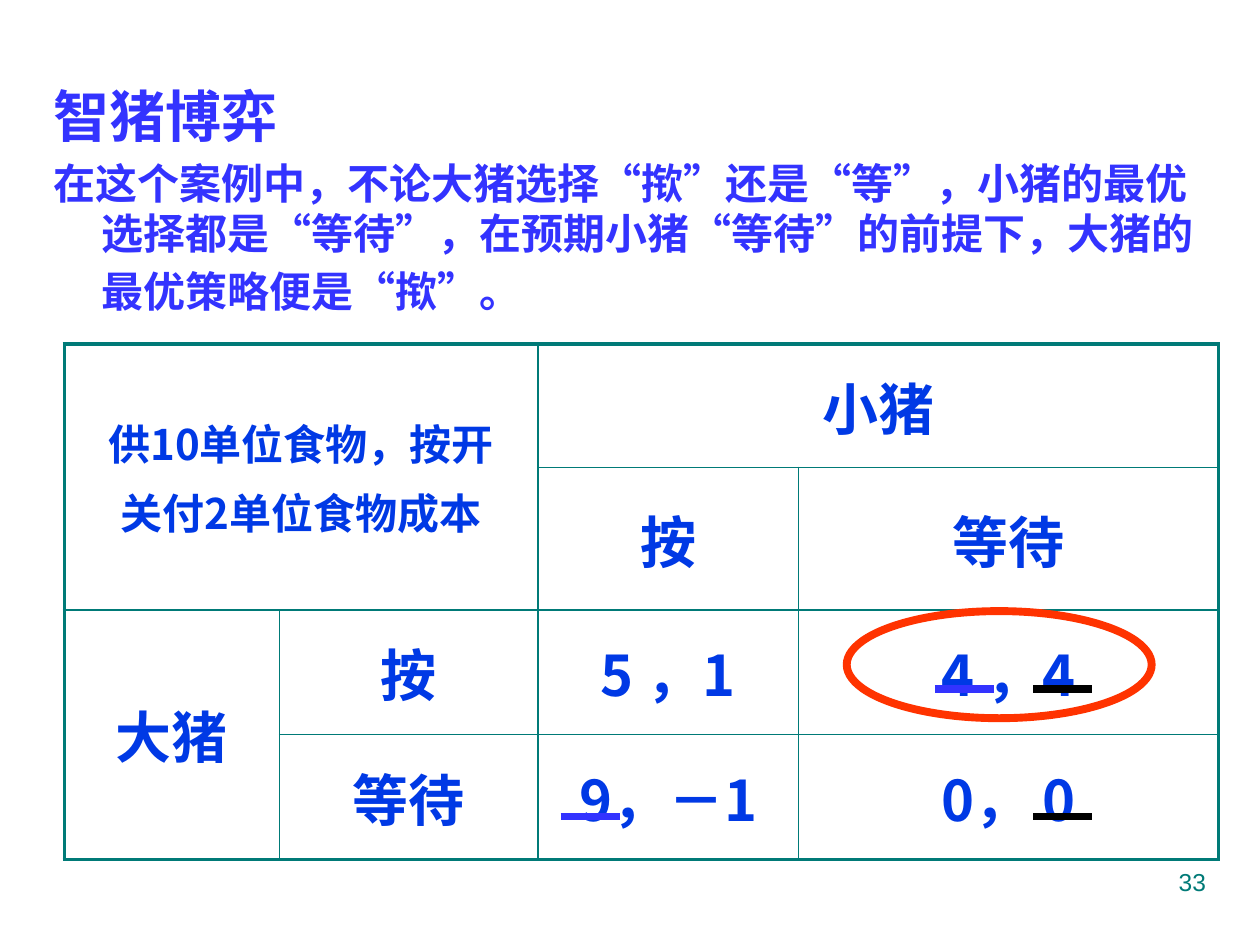
from lxml import etree
from pptx import Presentation
from pptx.dml.color import RGBColor
from pptx.enum.shapes import MSO_CONNECTOR, MSO_SHAPE
from pptx.enum.text import MSO_ANCHOR, PP_ALIGN
from pptx.oxml.ns import qn
from pptx.util import Inches, Pt

VIOLET = RGBColor(0x33, 0x33, 0xFF)
BLUE = RGBColor(0x00, 0x39, 0xE5)
TEAL = RGBColor(0x00, 0x7A, 0x77)
RED = RGBColor(0xFF, 0x33, 0x00)
BLACK = RGBColor(0, 0, 0)
CJK, SANS = "Noto Sans CJK SC", "Arial"
LEFT, CENTER, RIGHT = PP_ALIGN.LEFT, PP_ALIGN.CENTER, PP_ALIGN.RIGHT
MIDDLE = MSO_ANCHOR.MIDDLE
OVAL, STRAIGHT = MSO_SHAPE.OVAL, MSO_CONNECTOR.STRAIGHT

COLS = [1.71, 2.05, 2.07, 3.33]
ROWS = [0.98, 1.13, 0.99, 0.99]
# row, column, row span, column span, paragraphs, size
CELLS = [
    (0, 0, 2, 2, ["供10单位食物，按开", "关付2单位食物成本"], 24),
    (0, 2, 1, 2, ["小猪"], 32),
    (1, 2, 1, 1, ["按"], 32),
    (1, 3, 1, 1, ["等待"], 32),
    (2, 0, 2, 1, ["大猪"], 32),
    (2, 1, 1, 1, ["按"], 32),
    (2, 2, 1, 1, ["5 ，1"], 32),
    (2, 3, 1, 1, ["4 ，4"], 32),
    (3, 1, 1, 1, ["等待"], 32),
    (3, 2, 1, 1, ["9，－1"], 32),
    (3, 3, 1, 1, ["0， 0"], 32),
]
# left, height on the slide, colour
MARKS = [(4.45, 6.48, VIOLET), (7.42, 5.47, VIOLET),
         (8.2, 5.47, BLACK), (8.2, 6.48, BLACK)]


class Deck:
    def __init__(self):
        self.prs = Presentation()
        self.prs.slide_width, self.prs.slide_height = Inches(10), Inches(7.5)
        self.slide = self.prs.slides.add_slide(self.prs.slide_layouts[6])
        self.shapes = self.slide.shapes

    def run(self, para, text, size, color, face=CJK, bold=True):
        run = para.add_run()
        run.text = text
        style = {"size": Pt(size), "name": face, "bold": bold}
        for key, val in style.items():
            setattr(run.font, key, val)
        run.font.color.rgb = color
        props = run.font._element
        etree.SubElement(props, qn("a:ea")).set("typeface", face)

    def para(self, frame, first, **form):
        para = frame.paragraphs[0] if first else frame.add_paragraph()
        for key, val in form.items():
            setattr(para, key, val)
        return para

    def text(self, box, paras, color, face=CJK, bold=True, hang=0, **form):
        """Each paragraph is a list of (text, size) runs."""
        frame = self.shapes.add_textbox(*map(Inches, box)).text_frame
        frame.word_wrap = True
        for i, runs in enumerate(paras):
            gap = Pt(runs[0][1] * 0.2)
            para = self.para(frame, i == 0, space_before=gap, **form)
            if hang:
                props = para._p.get_or_add_pPr()
                props.set("marL", str(Inches(hang)))
                props.set("indent", str(-Inches(hang)))
            for words, size in runs:
                self.run(para, words, size, color, face, bold)

    def edge(self, cell, side, width):
        props = cell._tc.get_or_add_tcPr()
        line = etree.SubElement(props, qn("a:ln" + side), w=str(Pt(width)))
        fill = etree.SubElement(line, qn("a:solidFill"))
        etree.SubElement(fill, qn("a:srgbClr"), val=str(TEAL))

    def table(self, left, top, cols, rows, cells):
        nr, nc = len(rows), len(cols)
        box = map(Inches, (left, top, sum(cols), sum(rows)))
        grid = self.shapes.add_table(nr, nc, *box).table
        grid.first_row = grid.horz_banding = False
        for col, width in zip(grid.columns, cols):
            col.width = Inches(width)
        for row, height in zip(grid.rows, rows):
            row.height = Inches(height)
        for r, c, h, w, lines, size in cells:
            cell = grid.cell(r, c)
            if h * w > 1:
                cell.merge(grid.cell(r + h - 1, c + w - 1))
            cell.vertical_anchor = MIDDLE
            for i, words in enumerate(lines):
                para = self.para(cell.text_frame, i == 0, alignment=CENTER,
                                 space_before=Pt(size * 0.2))
                self.run(para, words, size, BLUE)
            # side: is it on the rim of the table
            rim = {"L": c == 0, "R": c + w == nc,
                   "T": r == 0, "B": r + h == nr}
            for y in range(r, r + h):
                for x in range(c, c + w):
                    part = grid.cell(y, x)
                    ends = {"L": x == c, "R": x == c + w - 1,
                            "T": y == r, "B": y == r + h - 1}
                    for side, outer in rim.items():
                        if ends[side] or (y, x) == (r, c):
                            self.edge(part, side, 2.25 if outer else 1)
                    part.fill.background()

    def ring(self, box, color, width):
        ring = self.shapes.add_shape(OVAL, *map(Inches, box))
        ring.shadow.inherit = False
        ring.fill.background()
        ring.line.color.rgb = color
        ring.line.width = Pt(width)

    def line(self, x, y, length, color, width):
        ends = map(Inches, (x, y, x + length, y))
        line = self.shapes.add_connector(STRAIGHT, *ends)
        line.line.color.rgb = color
        line.line.width = Pt(width)
        etree.SubElement(line._element.spPr, qn("a:effectLst"))


def main():
    deck = Deck()
    story = ("在这个案例中，不论大猪选择“揿”还是“等”，小猪的最优选择都是“等待”，"
             "在预期小猪“等待”的前提下，大猪的最优策略便是“揿”。")
    # The larger closing space sets the height of the last line
    deck.text((0.33, 0.6, 9.4, 2.6),
              [[("智猪博弈", 32)], [(story, 24), (" ", 28)]],
              VIOLET, hang=0.38, alignment=LEFT)
    deck.table(0.51, 2.73, COLS, ROWS, CELLS)
    deck.ring((6.72, 4.85, 2.42, 0.85), RED, 4.5)
    deck.text((7.17, 6.83, 2.5, 0.52), [[("33", 14)]], TEAL,
              face=SANS, bold=False, alignment=RIGHT)
    for x, y, color in MARKS:
        deck.line(x, y, 0.47, color, 4.5)
    deck.prs.save("out.pptx")


if __name__ == "__main__":
    main()
